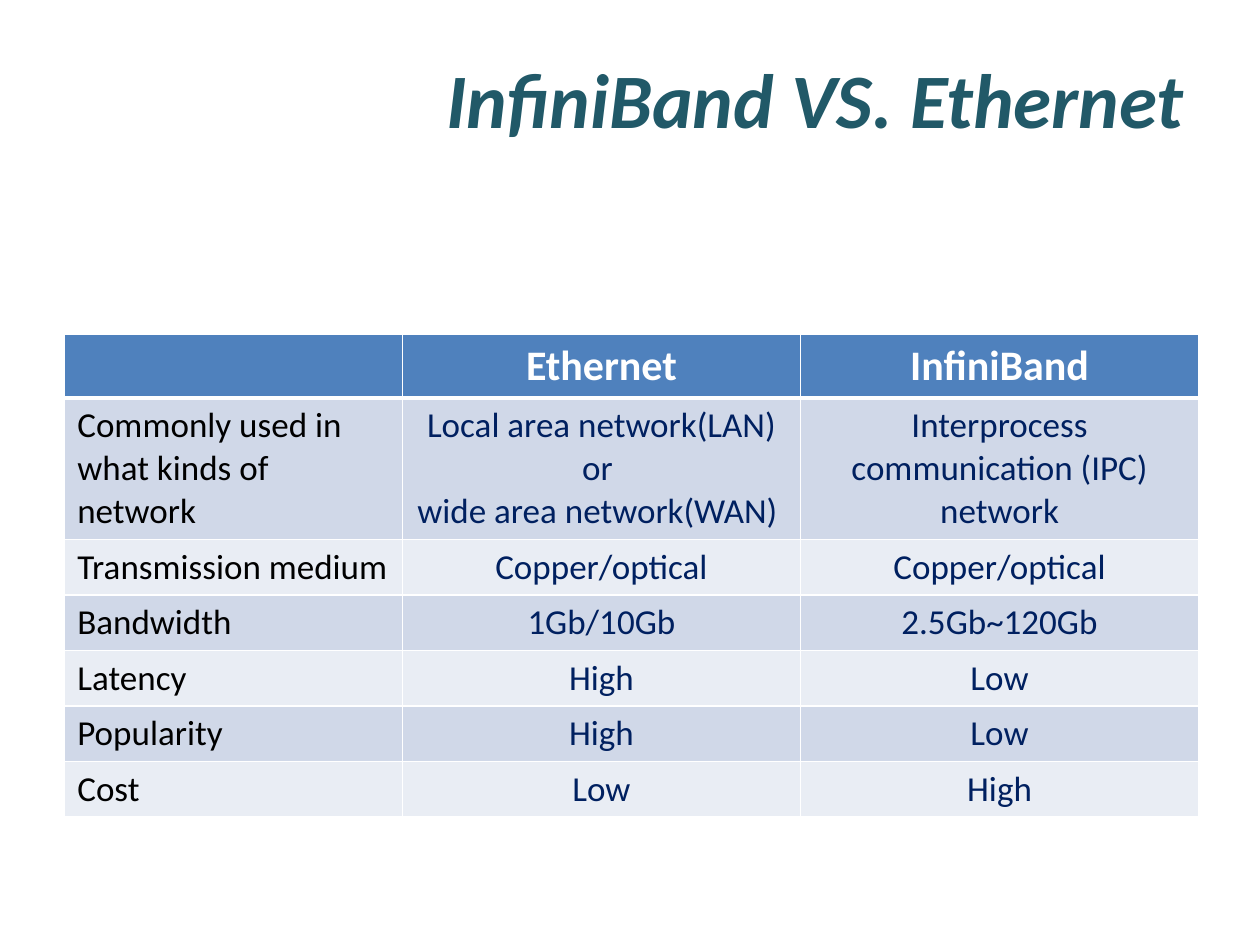
from pptx import Presentation
from pptx.dml.color import RGBColor
from pptx.enum.text import MSO_ANCHOR, PP_ALIGN
from pptx.oxml import parse_xml
from pptx.oxml.ns import nsdecls
from pptx.util import Pt

LEFT, CENTER, RIGHT, JUSTIFY = (
    PP_ALIGN.LEFT, PP_ALIGN.CENTER, PP_ALIGN.RIGHT, PP_ALIGN.JUSTIFY)
MIDDLE = MSO_ANCHOR.MIDDLE
FONT = "Calibri"
TITLE_ONLY = 5
HEADER_FILL = "4F81BD"
BAND_FILLS = ("D0D8E8", "E9EDF4")
COLUMN_WIDTHS = (193, 227.5, 227.5)
ROW_HEIGHTS = (36, 80) + (31.6,) * 5
ROWS = (
    ("", "Ethernet", "InfiniBand"),
    ("Commonly used in what kinds of network",
     "Local area network(LAN) or \nwide area network(WAN) ",
     "Interprocess communication (IPC) network"),
    ("Transmission medium", "Copper/optical", "Copper/optical"),
    ("Bandwidth", "1Gb/10Gb", "2.5Gb~120Gb"),
    ("Latency", "High", "Low"),
    ("Popularity", "High", "Low"),
    ("Cost", "Low", "High"),
)


def color(value):
    return RGBColor.from_string(value)


def format_text(frame, size, text_color, align, bold=False, italic=False):
    for para in frame.paragraphs:
        para.alignment = align
        for span in para.runs:
            font = span.font
            font.name, font.size = FONT, Pt(size)
            font.bold, font.italic = bold, italic
            font.color.rgb = color(text_color)


def add_title(page, text):
    title = page.shapes.title
    title.left, title.top = Pt(36), Pt(21.6)
    title.width, title.height = Pt(648), Pt(68.4)
    title.text_frame.text = text
    title.text_frame.vertical_anchor = MIDDLE
    format_text(title.text_frame, 44, "215968", RIGHT, bold=True, italic=True)


def set_borders(cell, widths):
    properties = cell._tc.get_or_add_tcPr()
    for index, (side, width) in enumerate(widths.items()):
        properties.insert(index, parse_xml(
            f'<a:ln{side} {nsdecls("a")} w="{Pt(width)}"><a:solidFill>'
            f'<a:srgbClr val="FFFFFF"/></a:solidFill></a:ln{side}>'))


def format_cell(cell, row, column):
    is_header = row == 0
    cell.fill.solid()
    fill = HEADER_FILL if is_header else BAND_FILLS[(row - 1) % 2]
    cell.fill.fore_color.rgb = color(fill)
    set_borders(cell, {"L": 1, "R": 1, "T": 3 if row == 1 else 1,
                       "B": 3 if is_header else 1})
    if is_header:
        format_text(cell.text_frame, 24, "FFFFFF", CENTER, bold=True)
    elif column == 0:
        format_text(cell.text_frame, 20, "000000", LEFT if row == 1 else JUSTIFY)
    else:
        format_text(cell.text_frame, 20, "002060", CENTER)


def add_comparison(page):
    table = page.shapes.add_table(
        len(ROWS), len(COLUMN_WIDTHS), Pt(37), Pt(191),
        Pt(sum(COLUMN_WIDTHS)), Pt(sum(ROW_HEIGHTS))).table
    for column, width in zip(table.columns, COLUMN_WIDTHS):
        column.width = Pt(width)
    for row, height in zip(table.rows, ROW_HEIGHTS):
        row.height = Pt(height)
    for row, texts in enumerate(ROWS):
        for column, text in enumerate(texts):
            cell = table.cell(row, column)
            cell.text_frame.text = text
            format_cell(cell, row, column)


def main():
    deck = Presentation()
    deck.slide_width, deck.slide_height = Pt(720), Pt(540)
    page = deck.slides.add_slide(deck.slide_layouts[TITLE_ONLY])
    page.background.fill.solid()
    page.background.fill.fore_color.rgb = color("FFFFFF")
    add_title(page, "InfiniBand VS. Ethernet")
    add_comparison(page)
    deck.save("out.pptx")


if __name__ == "__main__":
    main()
